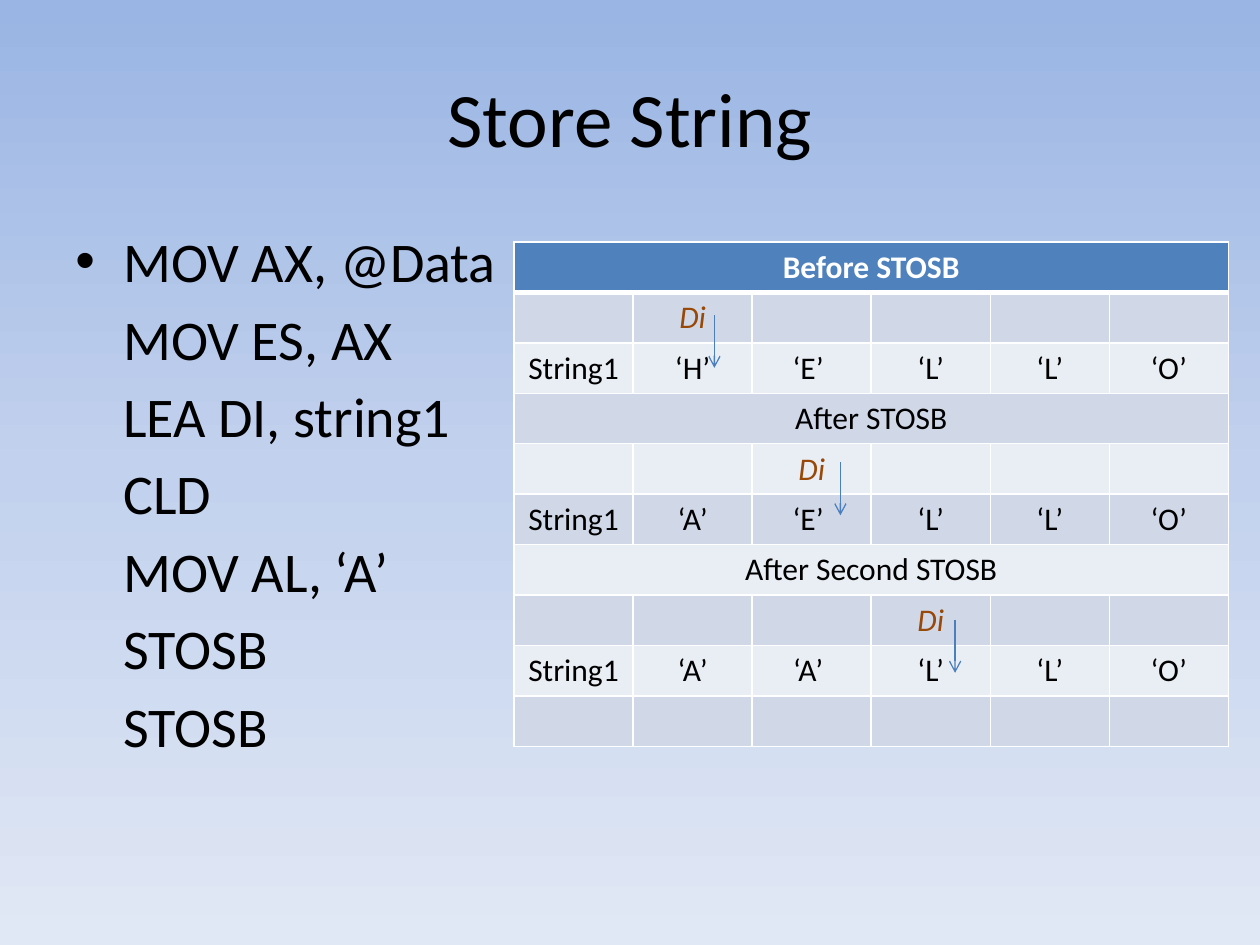
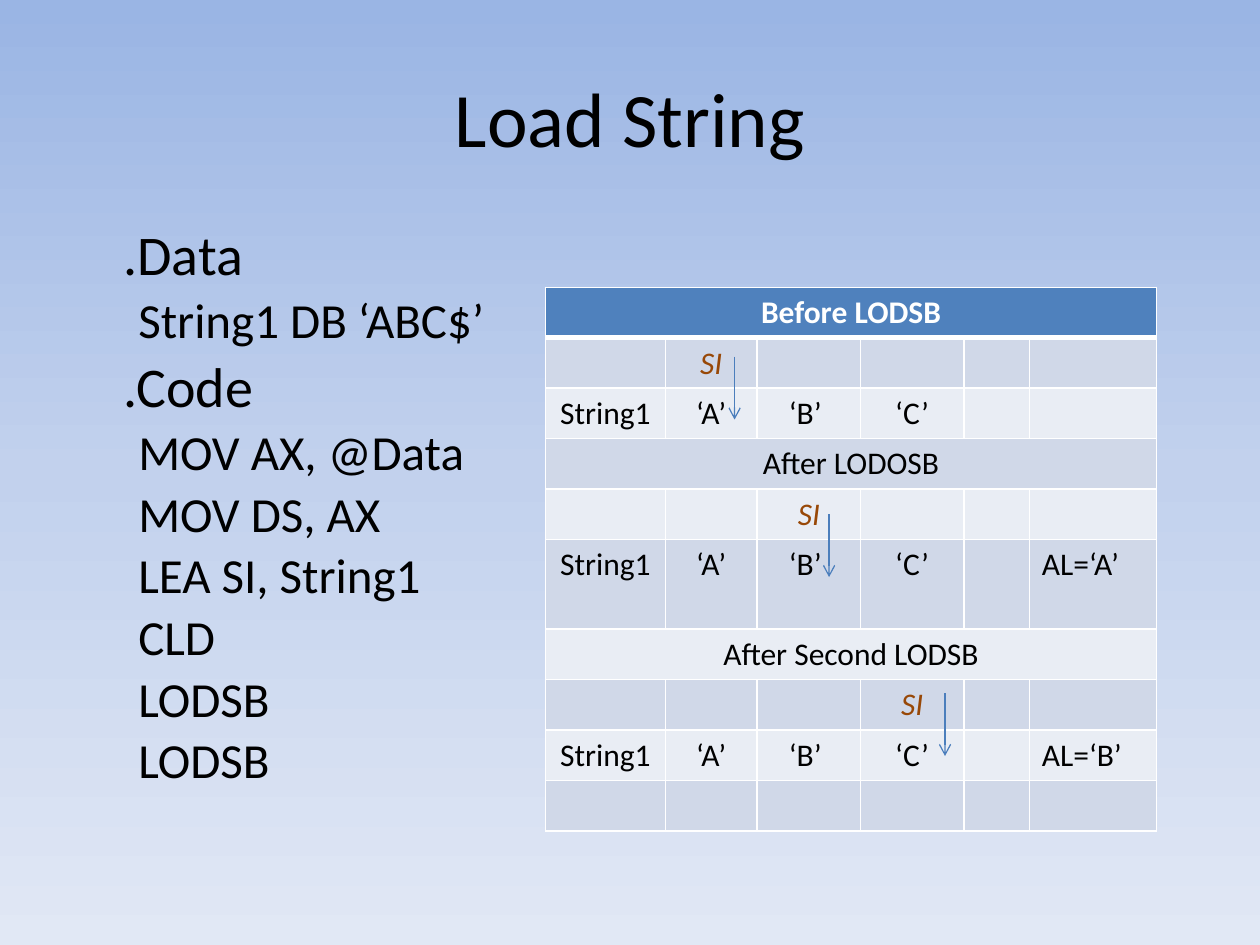
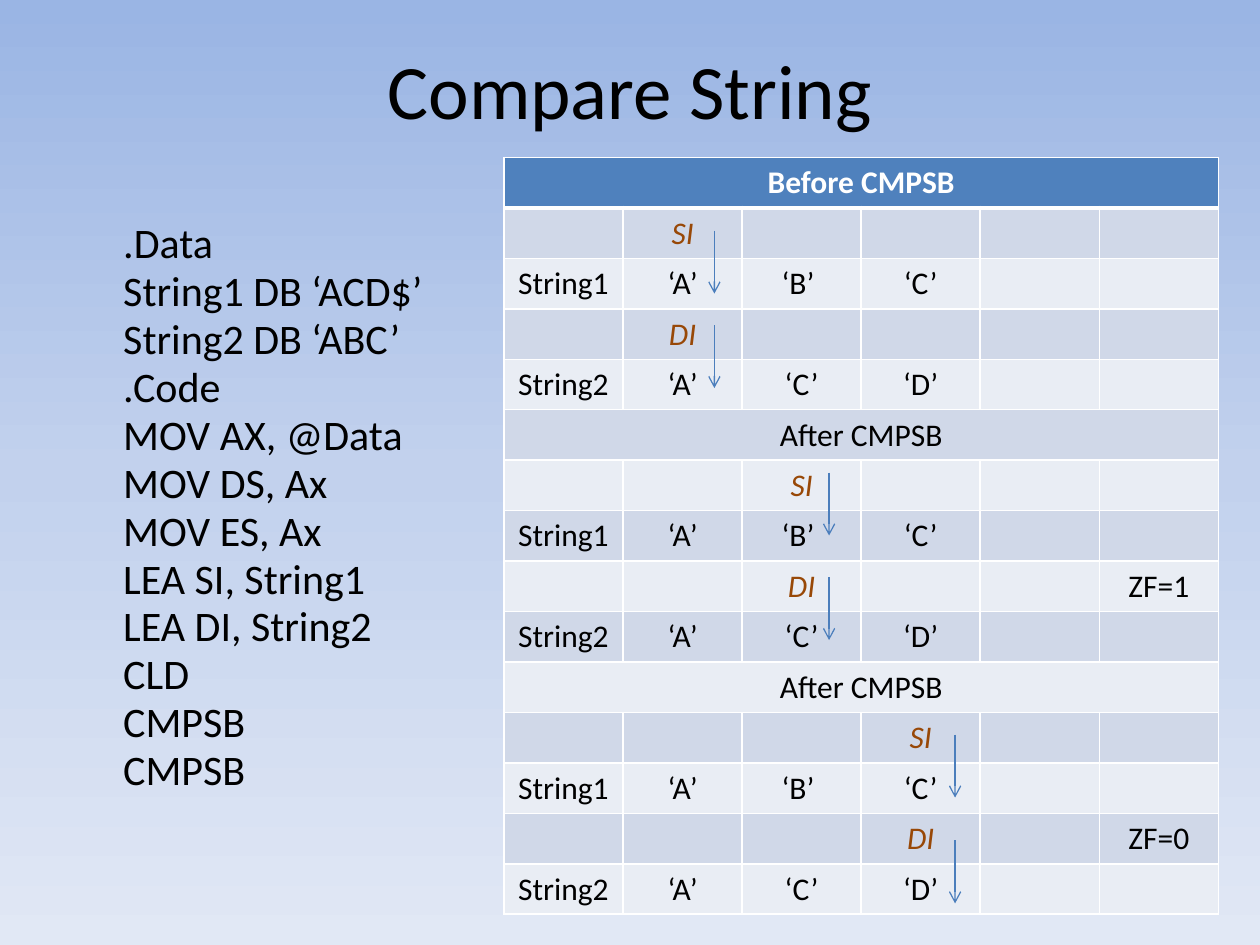
from copy import deepcopy

from lxml import etree
from pptx import Presentation
from pptx.dml.color import RGBColor
from pptx.enum.shapes import MSO_CONNECTOR
from pptx.enum.text import MSO_ANCHOR, PP_ALIGN
from pptx.oxml.ns import qn
from pptx.util import Inches, Pt

STRAIGHT = MSO_CONNECTOR.STRAIGHT
MIDDLE = MSO_ANCHOR.MIDDLE
CENTER, LEFT = PP_ALIGN.CENTER, PP_ALIGN.LEFT

FONT = "Calibri"
COLORS = {
    "sky_top": "9AB5E4",
    "sky_middle": "C2D1ED",
    "sky_bottom": "E1E8F5",
    "text": "000000",
    "pointer": "984807",
    "header": "4F81BD",
    "odd_row": "D0D8E8",
    "even_row": "E9EDF4",
    "border": "FFFFFF",
    "arrow": "4B7EBC",
}
POINTERS = ("Di", "SI", "DI")
COLUMN_COUNT = 6
EVEN_COLUMNS = [0.945] * COLUMN_COUNT
ROW_HEIGHT = 0.4
CODE_INDENT = 0.38
NESTED_INDENT = 0.5
SPACE_RATIO = 0.18


def color(name):
    """Return the named palette colour."""
    return RGBColor.from_string(COLORS[name])


def paint_background(master):
    """Give the master the vertical blue gradient that all slides inherit."""
    fill = master.background.fill
    fill.gradient()
    fill.gradient_angle = 270
    stop_list = next(master.element.iter(qn("a:gsLst")))
    stop_list.append(deepcopy(stop_list[-1]))
    names = ("sky_top", "sky_middle", "sky_bottom")
    for stop, name, position in zip(fill.gradient_stops, names, (0, 0.5, 1)):
        stop.color.rgb = color(name)
        stop.position = position


def add_run(paragraph, text, size, color_name="text", bold=False, italic=False):
    """Add one formatted run to a paragraph."""
    run = paragraph.add_run()
    run.text = text
    font = run.font
    font.name, font.size = FONT, Pt(size)
    font.bold, font.italic = bold, italic
    font.color.rgb = color(color_name)


def add_text_frame(slide, top, height):
    """Add a full-width wrapping text box and return its text frame."""
    shape = slide.shapes.add_textbox(Inches(0.5), Inches(top), Inches(9), Inches(height))
    shape.text_frame.word_wrap = True
    return shape.text_frame


def add_title(slide, text, top=0.3):
    """Add the centred slide title."""
    frame = add_text_frame(slide, top, 1.25)
    frame.vertical_anchor = MIDDLE
    paragraph = frame.paragraphs[0]
    paragraph.alignment = CENTER
    add_run(paragraph, text, 44)


def add_code(slide, lines, size, spacing=1.0, nested_size=None, bullet=False):
    """Add code lines; with a nested size, lines not starting with a dot are nested."""
    frame = add_text_frame(slide, 1.75, 4.95)
    for index, line in enumerate(lines):
        paragraph = frame.paragraphs[0] if index == 0 else frame.add_paragraph()
        nested = nested_size is not None and not line.startswith(".")
        line_size = nested_size if nested else size
        paragraph.line_spacing = spacing
        paragraph.space_before = Pt(round(SPACE_RATIO * line_size, 1))
        properties = paragraph._p.get_or_add_pPr()
        indent = Inches(NESTED_INDENT if nested else CODE_INDENT)
        properties.set("marL", str(indent))
        if bullet and index == 0:
            properties.set("indent", str(-indent))
            etree.SubElement(properties, qn("a:buFont"), typeface="Arial")
            etree.SubElement(properties, qn("a:buChar"), char="•")
        add_run(paragraph, line, line_size)


def set_borders(cell, row):
    """Draw white cell borders, with a thick one below the header row."""
    properties = cell._tc.get_or_add_tcPr()
    widths = {"L": 1, "R": 1, "T": 3 if row == 1 else 1, "B": 3 if row == 0 else 1}
    for side, width in widths.items():
        line = etree.SubElement(properties, qn(f"a:ln{side}"), w=str(Pt(width)))
        fill = etree.SubElement(line, qn("a:solidFill"))
        etree.SubElement(fill, qn("a:srgbClr"), val=COLORS["border"])


def fill_cell(cell, text, row):
    """Set the border, band colour and text of a cell."""
    set_borders(cell, row)
    cell.fill.solid()
    band = "header" if row == 0 else "odd_row" if row % 2 else "even_row"
    cell.fill.fore_color.rgb = color(band)
    if not text:
        return
    paragraph = cell.text_frame.paragraphs[0]
    paragraph.alignment = LEFT if text.startswith("AL=") else CENTER
    is_pointer = text in POINTERS
    color_name = "border" if row == 0 else "pointer" if is_pointer else "text"
    add_run(paragraph, text, 18, color_name, bold=row == 0, italic=is_pointer)


def add_memory_table(slide, left, top, columns, rows, tall_rows=None):
    """Add a memory table; a row with a single text spans all columns."""
    heights = [(tall_rows or {}).get(row, ROW_HEIGHT) for row in range(len(rows))]
    table = slide.shapes.add_table(
        len(rows), COLUMN_COUNT, Inches(left), Inches(top),
        Inches(sum(columns)), Inches(sum(heights)),
    ).table
    for column, width in zip(table.columns, columns):
        column.width = Inches(width)
    for row, (texts, height) in enumerate(zip(rows, heights)):
        table.rows[row].height = Inches(height)
        if len(texts) == 1:
            table.cell(row, 0).merge(table.cell(row, COLUMN_COUNT - 1))
        padded = texts + [""] * (COLUMN_COUNT - len(texts))
        for column, text in enumerate(padded):
            fill_cell(table.cell(row, column), text, row)


def pointer_row(name, column, flag=""):
    """Return a row with a pointer name in one column and a flag in the last."""
    row = [""] * COLUMN_COUNT
    row[column], row[-1] = name, flag
    return row


def add_arrows(slide, tops_by_x, length=0.5):
    """Add downward pointer arrows at the given positions."""
    for x, top in tops_by_x:
        arrow = slide.shapes.add_connector(
            STRAIGHT, Inches(x), Inches(top), Inches(x), Inches(top + length)
        )
        arrow.line.color.rgb = color("arrow")
        arrow.line.width = Pt(0.75)
        etree.SubElement(arrow.line._get_or_add_ln(), qn("a:tailEnd"), type="arrow")
        etree.SubElement(arrow._element.spPr, qn("a:effectLst"))


def build_store(slide):
    """Build the slide on storing strings."""
    add_code(slide, ["MOV AX, @Data", "MOV ES, AX", "LEA DI, string1", "CLD",
                     "MOV AL, ‘A’", "STOSB", "STOSB"], 32, bullet=True)
    add_title(slide, "Store String")
    rows = []
    steps = (("Before STOSB", "‘H’", "‘E’ "), ("After STOSB", "‘A’", "‘E’ "),
             ("After Second STOSB", "‘A’", "‘A’ "))
    for step, (heading, first, second) in enumerate(steps, 1):
        rows += [[heading], pointer_row("Di", step),
                 ["String1", first, second, "‘L’", "‘L’", "‘O’"]]
    rows.append([""] * COLUMN_COUNT)
    add_memory_table(slide, 4.08, 1.92, EVEN_COLUMNS, rows)
    add_arrows(slide, [(5.67, 2.5), (6.67, 3.67), (7.58, 4.92)], 0.42)


def build_load(slide):
    """Build the slide on loading strings."""
    add_code(slide, [".Data", "String1 DB ‘ABC$’", ".Code", "MOV AX, @Data",
                     "MOV DS, AX", "LEA SI, String1", "CLD", "LODSB", "LODSB"],
             32, spacing=0.9, nested_size=28)
    add_title(slide, "Load String")
    rows = []
    steps = (("Before LODSB", ""), ("After LODOSB", "AL=‘A’"),
             ("After Second LODSB", "AL=‘B’"))
    for step, (heading, result) in enumerate(steps, 1):
        rows += [[heading], pointer_row("SI", step),
                 ["String1", "‘A’", "‘B’ ", "‘C’", "", result]]
    rows.append([""] * COLUMN_COUNT)
    columns = [0.95, 0.73, 0.82, 0.82, 0.52, 1.01]
    add_memory_table(slide, 4.33, 2.28, columns, rows, tall_rows={5: 0.71})
    add_arrows(slide, [(5.83, 2.83), (6.58, 4.08), (7.5, 5.5)])


def build_compare(slide):
    """Build the slide on comparing strings."""
    add_code(slide, [".Data", "String1 DB ‘ACD$’", "String2 DB ‘ABC’", ".Code",
                     "MOV AX, @Data", "MOV DS, Ax", "MOV ES, Ax", "LEA SI, String1",
                     "LEA DI, String2", "CLD", "CMPSB", "CMPSB"], 24, spacing=0.8)
    add_title(slide, "Compare String", top=0.08)
    rows = []
    steps = (("Before CMPSB", ""), ("After CMPSB", "ZF=1"), ("After CMPSB", "ZF=0"))
    for step, (heading, flag) in enumerate(steps, 1):
        rows += [[heading],
                 pointer_row("SI", step),
                 ["String1", "‘A’", "‘B’ ", "‘C’", "", ""],
                 pointer_row("DI", step, flag),
                 ["String2", "‘A’", "‘C’", "‘D’", "", ""]]
    add_memory_table(slide, 4, 1.25, EVEN_COLUMNS, rows)
    add_arrows(slide, [(5.67, 1.83), (5.67, 2.58), (6.58, 3.75),
                       (6.58, 4.58), (7.58, 5.83), (7.58, 6.67)])


def main():
    """Build the presentation and save it."""
    presentation = Presentation()
    presentation.slide_width, presentation.slide_height = Inches(10), Inches(7.5)
    paint_background(presentation.slide_master)
    for build in (build_store, build_load, build_compare):
        build(presentation.slides.add_slide(presentation.slide_layouts[6]))
    presentation.save("out.pptx")


if __name__ == "__main__":
    main()
